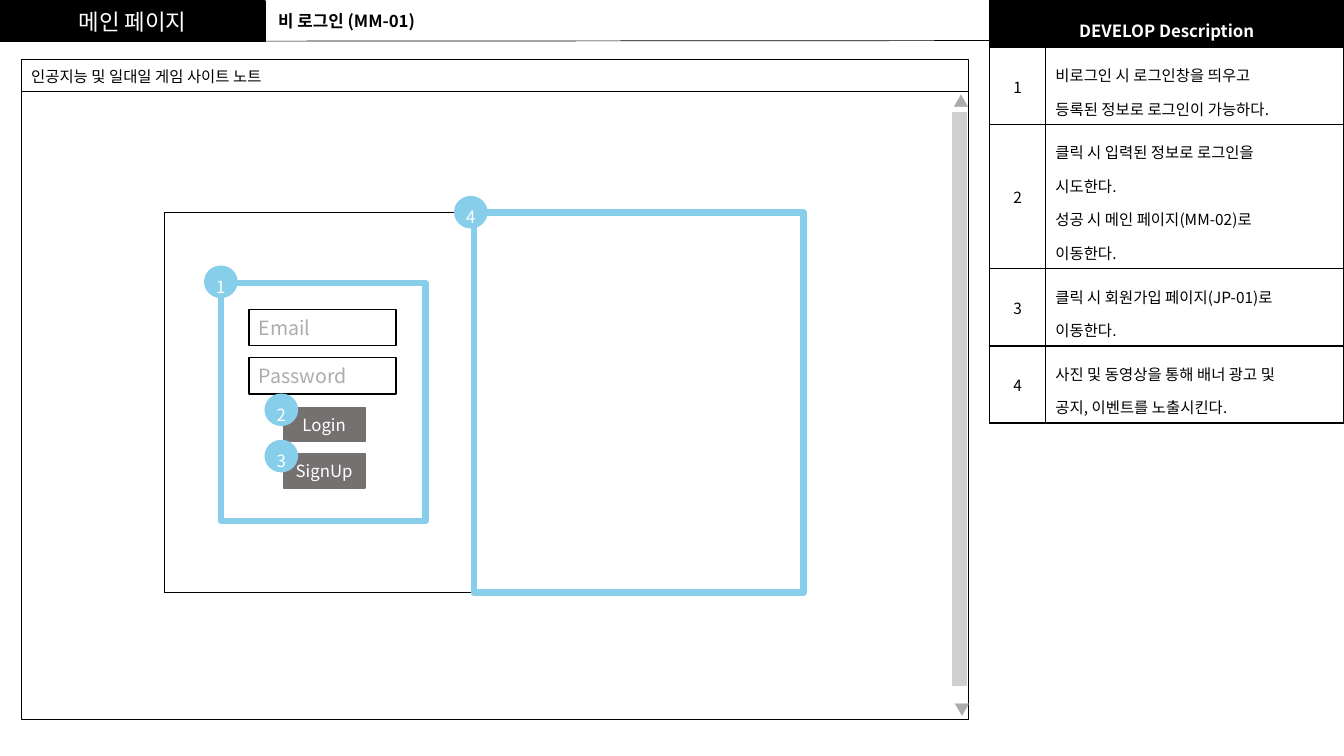
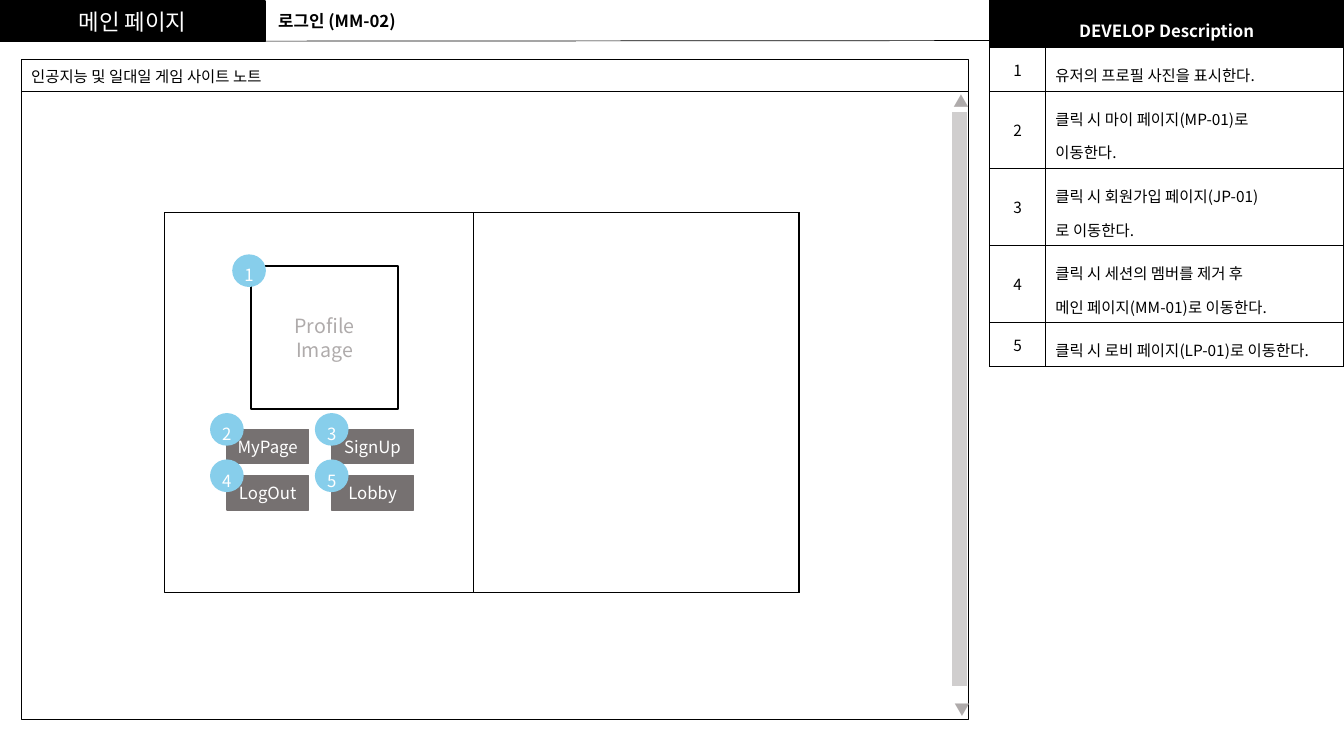
import dataclasses
import typing

import lxml.etree
import pptx
import pptx.dml.color
import pptx.enum.shapes
import pptx.enum.text
import pptx.oxml.ns
import pptx.util

SHAPE = pptx.enum.shapes.MSO_SHAPE
ALIGN = pptx.enum.text.PP_ALIGN
ANCHOR = pptx.enum.text.MSO_ANCHOR
qn = pptx.oxml.ns.qn

SLIDE_W = pptx.util.Inches(13.333)
SLIDE_H = pptx.util.Inches(7.5)


@dataclasses.dataclass(frozen=True)
class Theme:
    font: str = "Noto Sans CJK KR"
    black: str = "000000"
    white: str = "FFFFFF"
    button: str = "767171"
    track: str = "D0CECE"
    hint: str = "AFABAB"
    accent: str = "87CEEB"
    band_size: float = 16
    field_size: float = 14
    label_size: float = 12
    body_size: float = 11
    thin: float = 0.5
    line: float = 1
    highlight: float = 4.5


THEME = Theme()


class Box(typing.NamedTuple):
    """Left, top, width and height as percentages of the slide."""
    left: float
    top: float
    width: float
    height: float

    def emu(self) -> tuple[int, int, int, int]:
        return (across(self.left), down(self.top),
                across(self.width), down(self.height))


class Field(typing.NamedTuple):
    text: str
    box: Box
    align: typing.Any = ALIGN.LEFT


class Badge(typing.NamedTuple):
    number: int
    x: float
    y: float


@dataclasses.dataclass(frozen=True)
class ButtonGrid:
    """Numbered buttons, filled row by row from the top left."""
    labels: tuple[str, ...]
    columns: int
    left: float
    top: float
    first_number: int = 2
    nudge: tuple[float, float] = (0, 0)


@dataclasses.dataclass(frozen=True)
class Screen:
    title: str
    notes: tuple[str, ...]
    fields: tuple[Field, ...]
    buttons: ButtonGrid
    badges: tuple[Badge, ...]
    highlights: tuple[tuple[Box, str | None], ...] = ()


BAND = Box(0, 0.13, 19.73, 5.33)
TITLE = Box(19.95, 0.8, 22.5, 4)
ADDRESS = Box(1.58, 7.87, 70.5, 4.4)
PAGE = Box(1.58, 12.13, 70.5, 83.07)
TRACK = Box(70.8, 14.67, 1.2, 76.13)
ARROWS = (("▼", Box(70.28, 92, 2.25, 3.87)), ("▲", Box(70.2, 11.47, 2.4, 3.87)))
CONTENT = Box(12.23, 28.13, 47.25, 50.27)
BANNER = Box(35.25, 28.13, 24.22, 50.27)
NOTES_LEFT, NOTES_TOP, NOTES_ROW = 73.65, 0.13, 5.33
NOTES_COLS = (4.13, 22.2)
BUTTON_W, BUTTON_H = 6.08, 4.53
BUTTON_STEP_X, BUTTON_STEP_Y = 7.8, 6.13
BADGE_W, BADGE_H = 2.4, 4.13

SCREENS = (
    Screen(
        title="비 로그인 (MM-01)",
        notes=(
            "비로그인 시 로그인창을 띄우고\n등록된 정보로 로그인이 가능하다.",
            "클릭 시 입력된 정보로 로그인을\n시도한다.\n"
            "성공 시 메인 페이지(MM-02)로\n이동한다.",
            "클릭 시 회원가입 페이지(JP-01)로\n이동한다.",
            "사진 및 동영상을 통해 배너 광고 및\n공지, 이벤트를 노출시킨다.",
        ),
        fields=(Field("Email", Box(18.52, 40.93, 10.95, 4.8)),
                Field("Password", Box(18.52, 47.33, 10.95, 4.8))),
        buttons=ButtonGrid(("Login", "SignUp"), 1, 21.08, 53.87,
                           nudge=(-0.15, 0.33)),
        badges=(Badge(4, 35.03, 28.07), Badge(1, 16.43, 37.27)),
        highlights=((BANNER._replace(width=24.53), THEME.white),
                    (Box(16.43, 37.47, 15.23, 31.47), None)),
    ),
    Screen(
        title="로그인 (MM-02)",
        notes=(
            "유저의 프로필 사진을 표시한다.",
            "클릭 시 마이 페이지(MP-01)로\n이동한다.",
            "클릭 시 회원가입 페이지(JP-01)\n로 이동한다.",
            "클릭 시 세션의 멤버를 제거 후\n메인 페이지(MM-01)로 이동한다.",
            "클릭 시 로비 페이지(LP-01)로 이동한다.",
        ),
        fields=(Field("Profile\nImage", Box(18.68, 35.2, 10.95, 18.93),
                      ALIGN.CENTER),),
        buttons=ButtonGrid(("MyPage", "SignUp", "LogOut", "Lobby"), 2,
                           16.88, 56.8),
        badges=(Badge(1, 18.53, 35.8),),
    ),
)


def across(share: float) -> int:
    return round(SLIDE_W * share / 100)


def down(share: float) -> int:
    return round(SLIDE_H * share / 100)


def rgb(color: str) -> pptx.dml.color.RGBColor:
    return pptx.dml.color.RGBColor.from_string(color)


def put_text(tf, text: str, *, size: float = THEME.body_size,
             color: str = THEME.black, bold: bool = False,
             align=ALIGN.LEFT, spacing: float = 1) -> None:
    """Fill a text frame with one paragraph for each line of text."""
    for i, line in enumerate(text.split("\n")):
        p = tf.add_paragraph() if i else tf.paragraphs[0]
        p.alignment, p.line_spacing = align, spacing
        r = p.add_run()
        r.text = line
        r.font.size, r.font.bold = pptx.util.Pt(size), bold
        r.font.color.rgb = rgb(color)
        r.font.name = THEME.font
        ea = lxml.etree.SubElement(r._r.get_or_add_rPr(), qn("a:ea"))
        ea.set("typeface", THEME.font)


def add_box(slide, box: Box, *, fill: str | None = THEME.white,
            line: str = THEME.black, weight: float = THEME.line,
            shape=SHAPE.RECTANGLE, text: str = "", **text_format):
    sp = slide.shapes.add_shape(shape, *box.emu())
    sp.shadow.inherit = False
    if fill is None:
        sp.fill.background()
    else:
        sp.fill.solid()
        sp.fill.fore_color.rgb = rgb(fill)
    sp.line.color.rgb = rgb(line)
    sp.line.width = pptx.util.Pt(weight)
    if text:
        sp.text_frame.vertical_anchor = ANCHOR.MIDDLE
        put_text(sp.text_frame, text, **text_format)
    return sp


def add_rule(slide) -> None:
    line = slide.shapes.add_connector(
        pptx.enum.shapes.MSO_CONNECTOR.STRAIGHT,
        0, down(5.47), SLIDE_W, down(5.33))
    line.line.color.rgb = rgb(THEME.black)
    line.line.width = pptx.util.Pt(THEME.thin)
    lxml.etree.SubElement(line.element.spPr, qn("a:effectLst"))


def style_cell(cell, fill: str) -> None:
    """Give a cell its fill and a solid border on each side."""
    cell.fill.solid()
    cell.fill.fore_color.rgb = rgb(fill)
    tc_pr = cell._tc.get_or_add_tcPr()
    for i, side in enumerate(("a:lnL", "a:lnR", "a:lnT", "a:lnB")):
        ln = lxml.etree.Element(qn(side), w=str(pptx.util.Pt(THEME.line)))
        solid = lxml.etree.SubElement(ln, qn("a:solidFill"))
        lxml.etree.SubElement(solid, qn("a:srgbClr"), val=THEME.black)
        tc_pr.insert(i, ln)


def add_notes(slide, notes: tuple[str, ...]) -> None:
    rows = len(notes) + 1
    box = Box(NOTES_LEFT, NOTES_TOP, sum(NOTES_COLS), rows * NOTES_ROW)
    table = slide.shapes.add_table(rows, len(NOTES_COLS), *box.emu()).table
    for col, width in zip(table.columns, NOTES_COLS):
        col.width = across(width)
    for i, row in enumerate(table.rows):
        for cell in row.cells:
            style_cell(cell, THEME.white if i else THEME.black)
    header = table.cell(0, 0)
    header.merge(table.cell(0, 1))
    put_text(header.text_frame, "DEVELOP Description", size=THEME.label_size,
             color=THEME.white, bold=True, align=ALIGN.CENTER, spacing=1.5)
    for i, note in enumerate(notes, 1):
        number = table.cell(i, 0)
        number.vertical_anchor = ANCHOR.MIDDLE
        put_text(number.text_frame, str(i), align=ALIGN.CENTER)
        put_text(table.cell(i, 1).text_frame, note, spacing=1.5)


def add_badge(slide, badge: Badge) -> None:
    """Draw a numbered circle centred on the badge's point."""
    box = Box(badge.x - BADGE_W / 2, badge.y - BADGE_H / 2, BADGE_W, BADGE_H)
    sp = add_box(slide, box, fill=THEME.accent, line=THEME.accent,
                 shape=SHAPE.FLOWCHART_CONNECTOR, text=str(badge.number),
                 size=THEME.label_size, color=THEME.white, align=ALIGN.CENTER)
    tf = sp.text_frame
    tf.margin_left = tf.margin_right = tf.margin_bottom = 0
    tf.margin_top = pptx.util.Inches(0.09)


def add_buttons(slide, grid: ButtonGrid) -> None:
    badges = []
    for i, label in enumerate(grid.labels):
        row, col = divmod(i, grid.columns)
        box = Box(grid.left + col * BUTTON_STEP_X,
                  grid.top + row * BUTTON_STEP_Y, BUTTON_W, BUTTON_H)
        sp = add_box(slide, box, fill=THEME.button, line=THEME.button,
                     text=label, size=THEME.label_size, color=THEME.white,
                     align=ALIGN.CENTER)
        sp.text_frame.word_wrap = False
        badges.append(Badge(grid.first_number + i, box.left + grid.nudge[0],
                            box.top + grid.nudge[1]))
    for badge in badges:
        add_badge(slide, badge)


def add_title(slide, text: str) -> None:
    title = slide.shapes.title
    title.left, title.top, title.width, title.height = TITLE.emu()
    tf = title.text_frame
    tf.word_wrap, tf.vertical_anchor = True, ANCHOR.TOP
    tf.auto_size = pptx.enum.text.MSO_AUTO_SIZE.NONE
    put_text(tf, text, size=THEME.label_size, bold=True)


def add_browser(slide) -> None:
    """Draw the address bar, page area and scroll bar."""
    add_box(slide, ADDRESS, text="인공지능 및 일대일 게임 사이트 노트")
    add_box(slide, PAGE)
    add_box(slide, TRACK, fill=THEME.track, line=THEME.white)
    for arrow, box in ARROWS:
        tf = slide.shapes.add_textbox(*box.emu()).text_frame
        tf.word_wrap = True
        put_text(tf, arrow, color=THEME.hint)
    add_box(slide, CONTENT)
    add_box(slide, BANNER)


def add_screen(prs, screen: Screen) -> None:
    slide = prs.slides.add_slide(prs.slide_layouts.get_by_name("Title Only"))
    add_title(slide, screen.title)
    add_box(slide, BAND, fill=THEME.black, text="메인 페이지",
            size=THEME.band_size, color=THEME.white, align=ALIGN.CENTER)
    add_rule(slide)
    add_notes(slide, screen.notes)
    add_browser(slide)
    for field in screen.fields:
        add_box(slide, field.box, text=field.text, size=THEME.field_size,
                color=THEME.hint, align=field.align)
    add_buttons(slide, screen.buttons)
    for box, fill in screen.highlights:
        add_box(slide, box, fill=fill, line=THEME.accent,
                weight=THEME.highlight)
    for badge in screen.badges:
        add_badge(slide, badge)


def main() -> None:
    prs = pptx.Presentation()
    prs.slide_width, prs.slide_height = SLIDE_W, SLIDE_H
    for screen in SCREENS:
        add_screen(prs, screen)
    prs.save("out.pptx")


if __name__ == "__main__":
    main()
